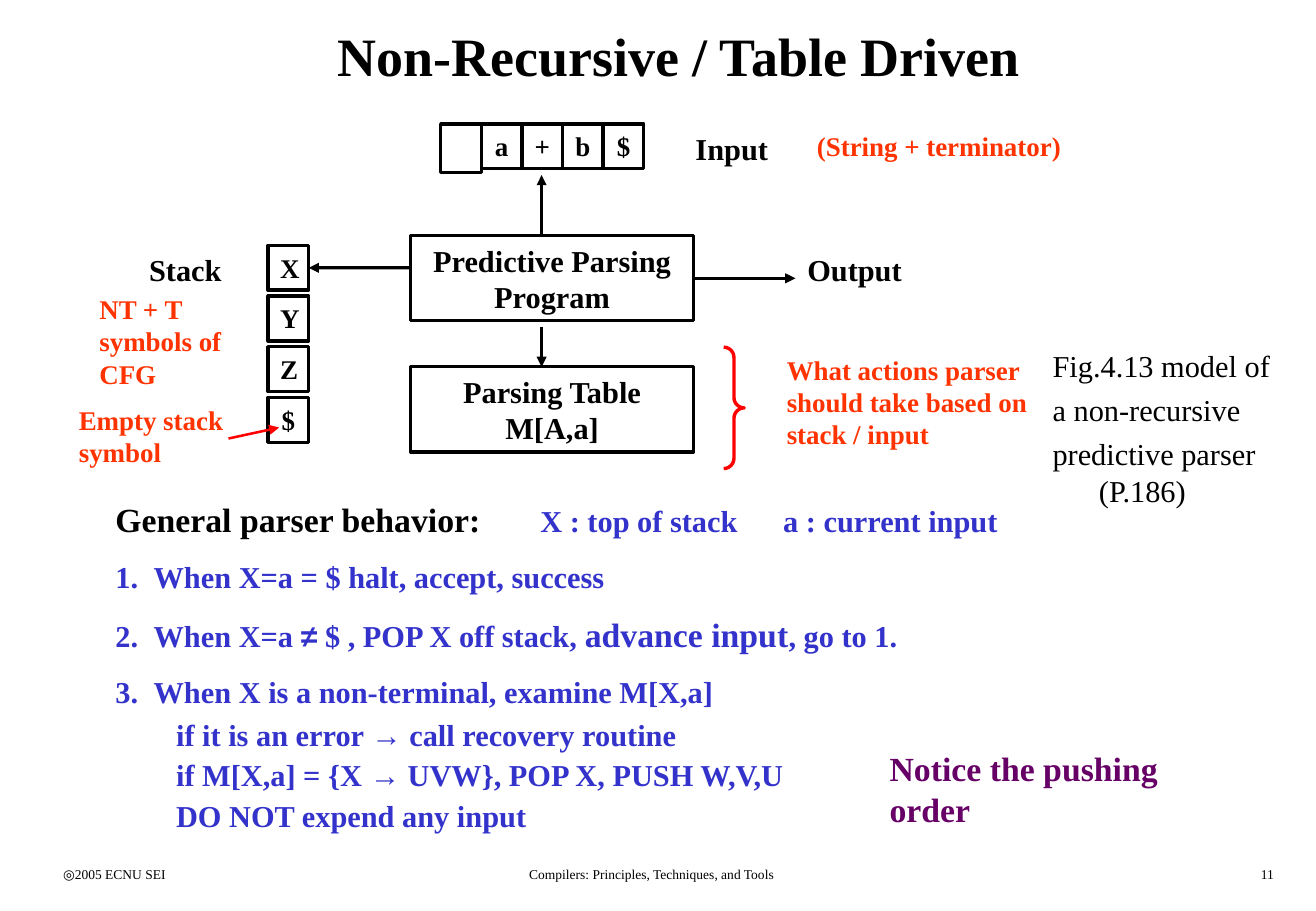
from lxml import etree
from pptx import Presentation
from pptx.dml.color import RGBColor
from pptx.enum.shapes import MSO_CONNECTOR, MSO_SHAPE
from pptx.enum.text import MSO_ANCHOR, MSO_AUTO_SIZE, PP_ALIGN
from pptx.oxml.ns import qn
from pptx.util import Cm, Pt

BLACK = RGBColor(0x00, 0x00, 0x00)
ORANGE = RGBColor(0xFF, 0x33, 0x00)
RED = RGBColor(0xFF, 0x00, 0x00)
BLUE = RGBColor(0x33, 0x33, 0xCC)
PURPLE = RGBColor(0x66, 0x00, 0x66)
SERIF, SANS = "Times New Roman", "Arial"
LEFT, CENTER, RIGHT = PP_ALIGN.LEFT, PP_ALIGN.CENTER, PP_ALIGN.RIGHT


def add_run(p, text, size, color=BLACK, bold=True, name=SERIF):
    r = p.add_run()
    r.text = text
    for key, value in {"size": Pt(size), "bold": bold, "name": name}.items():
        setattr(r.font, key, value)
    r.font.color.rgb = color


def add_box(shapes, x, y, w, h, text="", size=16, align=CENTER):
    sp = shapes.add_shape(MSO_SHAPE.RECTANGLE, Cm(x), Cm(y), Cm(w), Cm(h))
    sp.shadow.inherit = False
    sp.fill.background()
    sp.line.color.rgb = BLACK
    sp.line.width = Pt(2)
    tf = sp.text_frame
    tf.word_wrap = True
    tf.vertical_anchor = MSO_ANCHOR.TOP
    if text:
        tf.paragraphs[0].alignment = align
        add_run(tf.paragraphs[0], text, size)
    return sp


prs = Presentation()
prs.slide_width, prs.slide_height = Cm(27.53), Cm(19.05)
slide = prs.slides.add_slide(prs.slide_layouts[1])
shapes = slide.shapes
title, body = slide.placeholders

# Title and body frames
frames = [(title, (3, 0, 22.4, 2.31), MSO_ANCHOR.MIDDLE),
          (body, (2.16, 10.31, 20.12, 7.24), MSO_ANCHOR.TOP)]
for sp, place, anchor in frames:
    sp.left, sp.top, sp.width, sp.height = [Cm(v) for v in place]
    tf = sp.text_frame
    tf.auto_size = MSO_AUTO_SIZE.NONE
    tf.word_wrap = True
    tf.vertical_anchor = anchor
p = title.text_frame.paragraphs[0]
p.alignment = CENTER
add_run(p, "Non-Recursive / Table Driven", 32)

# Parser behavior: kind of line, then runs of (text, size, color, font)
behavior = [
    ("head", [("General parser behavior:", 20, BLACK, SERIF),
              ("\tX : top of stack\ta : current input", 18, BLUE, SERIF)]),
    ("step", [("When X=a = $ halt, accept, success", 18, BLUE, SERIF)]),
    ("step", [("When X=a ", 18, BLUE, SERIF), ("≠", 18, BLUE, SANS),
              (" $ , POP X off stack, ", 18, BLUE, SERIF),
              ("advance input", 20, BLUE, SERIF),
              (", go to 1.", 18, BLUE, SERIF)]),
    ("step", [("When X is a non-terminal, examine M[X,a]", 18, BLUE, SERIF)]),
    ("case", [("if it is an error ", 18, BLUE, SERIF), ("→", 18, BLUE, SANS),
              (" call recovery routine", 18, BLUE, SERIF)]),
    ("case", [("if M[X,a] = {X ", 18, BLUE, SERIF), ("→", 18, BLUE, SANS),
              (" UVW}, POP X, PUSH W,V,U", 18, BLUE, SERIF)]),
    ("case", [("DO NOT expend any input", 18, BLUE, SERIF)]),
]
indents = {"head": (0, 0), "step": (0.8, -0.8), "case": (1.27, 0)}
tf = body.text_frame
for i, (kind, runs) in enumerate(behavior):
    p = tf.add_paragraph() if i else tf.paragraphs[0]
    pPr = p._p.get_or_add_pPr()
    for key, value in zip(("marL", "indent"), indents[kind]):
        pPr.set(key, str(Cm(value)))
    if kind == "step":
        etree.SubElement(pPr, qn("a:buFont"), typeface=SERIF)
        etree.SubElement(pPr, qn("a:buAutoNum"), type="arabicPeriod")
    else:
        etree.SubElement(pPr, qn("a:buNone"))
    if kind == "head":
        tabs = etree.SubElement(pPr, qn("a:tabLst"))
        for stop in (8.34, 13.74):
            etree.SubElement(tabs, qn("a:tab"), pos=str(Cm(stop)), algn="l")
    p.level = 1 if kind == "case" else 0
    p.line_spacing = 0.6 if kind == "case" else 1.0
    p.space_before = Pt(11.2 if i else 0)
    p.space_after = Pt(0)
    for text, size, color, name in runs:
        add_run(p, text, size, color, name=name)

# Input tape and stack
for i, symbol in enumerate(["", "a", "+", "b", "$"]):
    add_box(shapes, 9.22 + 0.85 * i, 2.59, 0.85, 0.94 if symbol else 1.02, symbol)
stack = [add_box(shapes, 5.61, 5.13 + 1.06 * i, 0.85, 0.94, symbol)
         for i, symbol in enumerate("XYZ$")]

# Program and parsing table
program = add_box(shapes, 8.59, 4.93, 5.92, 1.78, "Predictive Parsing Program", 18)
add_box(shapes, 8.59, 7.67, 5.92, 1.78, "Parsing Table M[A,a]", 18)

# Labels, notes and footer: place, text, size, color, bold, alignment
labels = [
    ((14.3, 2.59, 2.34, 1.02), "Input", 18, BLACK, True, LEFT),
    ((2.87, 5.13, 2.34, 1.02), "Stack", 18, BLACK, True, LEFT),
    ((16.64, 5.13, 3.18, 1.02), "Output", 18, BLACK, True, LEFT),
    ((16.84, 2.59, 5.72, 0.94), "(String + terminator)", 16, ORANGE, True, LEFT),
    ((1.83, 5.99, 3.18, 2.29), "NT + T symbols of CFG", 16, ORANGE, True, LEFT),
    ((1.4, 8.31, 3.81, 1.63), "Empty stack symbol", 16, ORANGE, True, LEFT),
    ((16.21, 7.26, 5.92, 2.29),
     "What actions parser should take based on stack / input",
     16, ORANGE, True, LEFT),
    ((18.36, 15.52, 7.98, 1.12), "Notice the pushing order", 20, PURPLE, True, LEFT),
    ((21.77, 7.14, 5.16, 3.61),
     "Fig.4.13 model of\na non-recursive\npredictive parser (P.186)",
     18, BLACK, False, LEFT),
    ((1.07, 17.98, 5.74, 0.64), "◎2005 ECNU SEI", 8, BLACK, False, LEFT),
    ((8.48, 17.98, 10.31, 0.64), "Compilers: Principles, Techniques, and Tools",
     8, BLACK, False, CENTER),
    ((21.16, 17.98, 5.74, 0.64), "11", 8, BLACK, False, RIGHT),
]
for place, text, size, color, bold, align in labels:
    tf = shapes.add_textbox(*[Cm(v) for v in place]).text_frame
    tf.word_wrap = True
    lines = text.split("\n")
    for i, line in enumerate(lines):
        p = tf.add_paragraph() if i else tf.paragraphs[0]
        p.alignment = align
        if len(lines) > 1:
            pPr = p._p.get_or_add_pPr()
            pPr.set("marL", str(Cm(0.97)))
            pPr.set("indent", str(Cm(-0.97)))
            p.space_before = Pt(4.5 if i else 0)
        add_run(p, line, size, color, bold)

# Arrows: ends, color, width, joined start and end
arrows = [
    ((11.33, 4.93, 11.33, 3.66), BLACK, 2, None, None),
    ((8.59, 5.6, 6.46, 5.6), BLACK, 2, None, (stack[0], 3)),
    ((11.33, 6.83, 11.33, 7.67), BLACK, 2, None, None),
    ((14.51, 5.82, 16.64, 5.82), BLACK, 2, (program, 3), None),
    ((4.78, 9.17, 5.84, 8.94), RED, 1.5, None, None),
]
for ends, color, width, start, end in arrows:
    cx = shapes.add_connector(MSO_CONNECTOR.STRAIGHT, *[Cm(v) for v in ends])
    if start:
        cx.begin_connect(*start)
    if end:
        cx.end_connect(*end)
    cx.line.color.rgb = color
    cx.line.width = Pt(width)
    etree.SubElement(cx.line._get_or_add_ln(), qn("a:tailEnd"), type="triangle")
    etree.SubElement(cx._element.spPr, qn("a:effectLst"))

# Brace beside the parsing table
brace = shapes.add_shape(MSO_SHAPE.RIGHT_BRACE, Cm(15.14), Cm(7.26), Cm(0.43), Cm(2.54))
brace.adjustments[0] = 0.5
brace.shadow.inherit = False
brace.fill.background()
brace.line.color.rgb = RED
brace.line.width = Pt(2)

prs.save("out.pptx")
